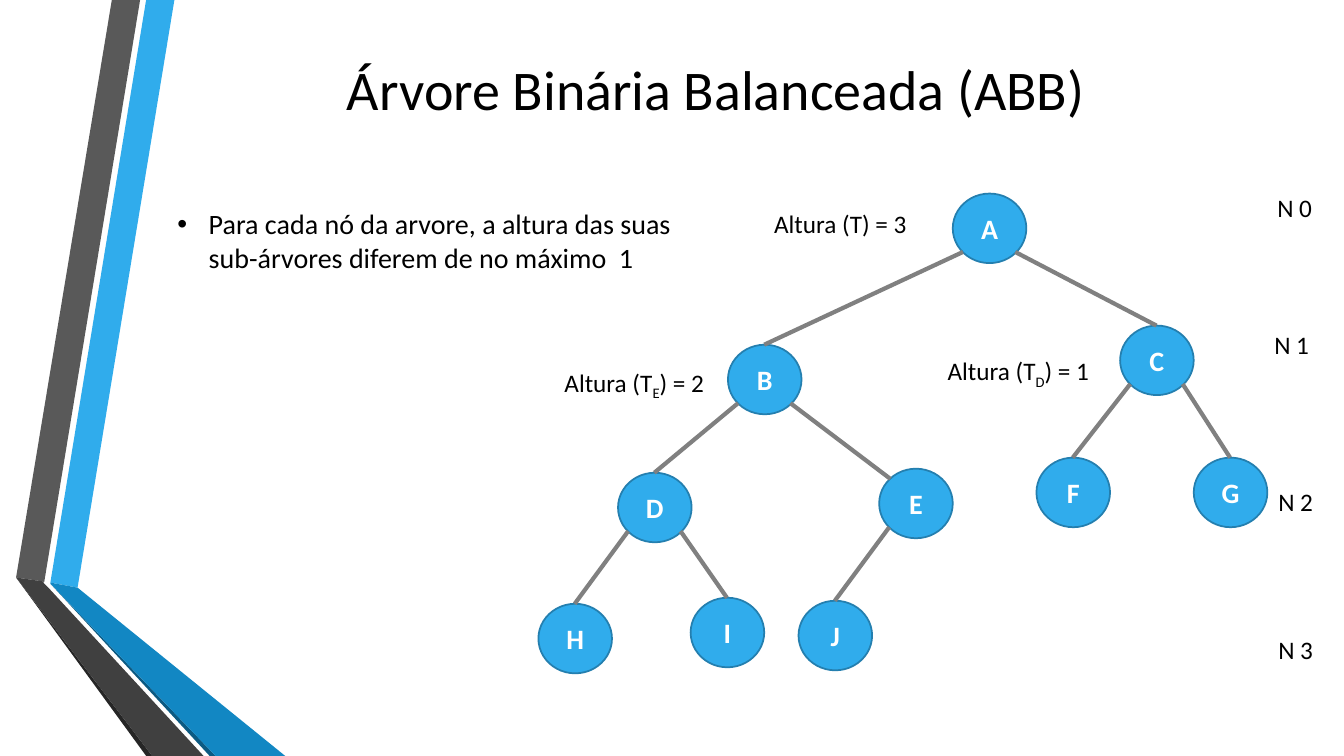
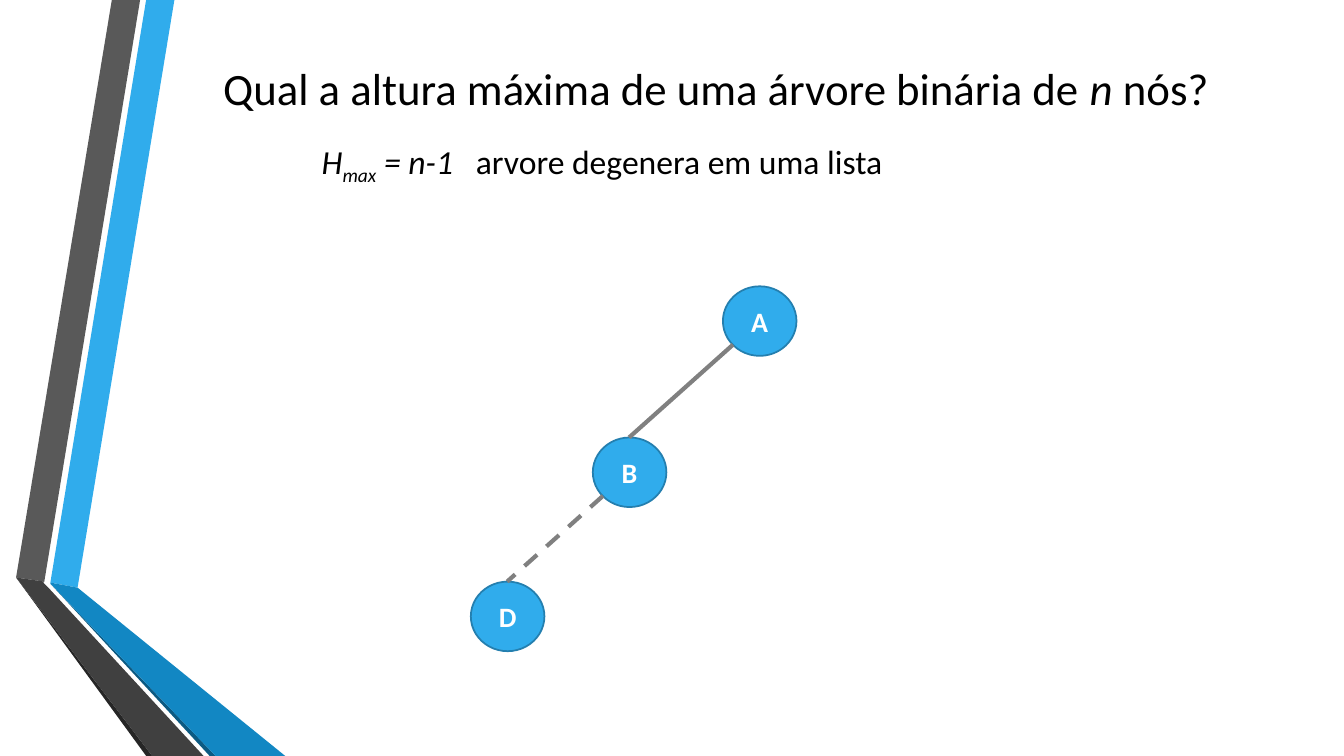
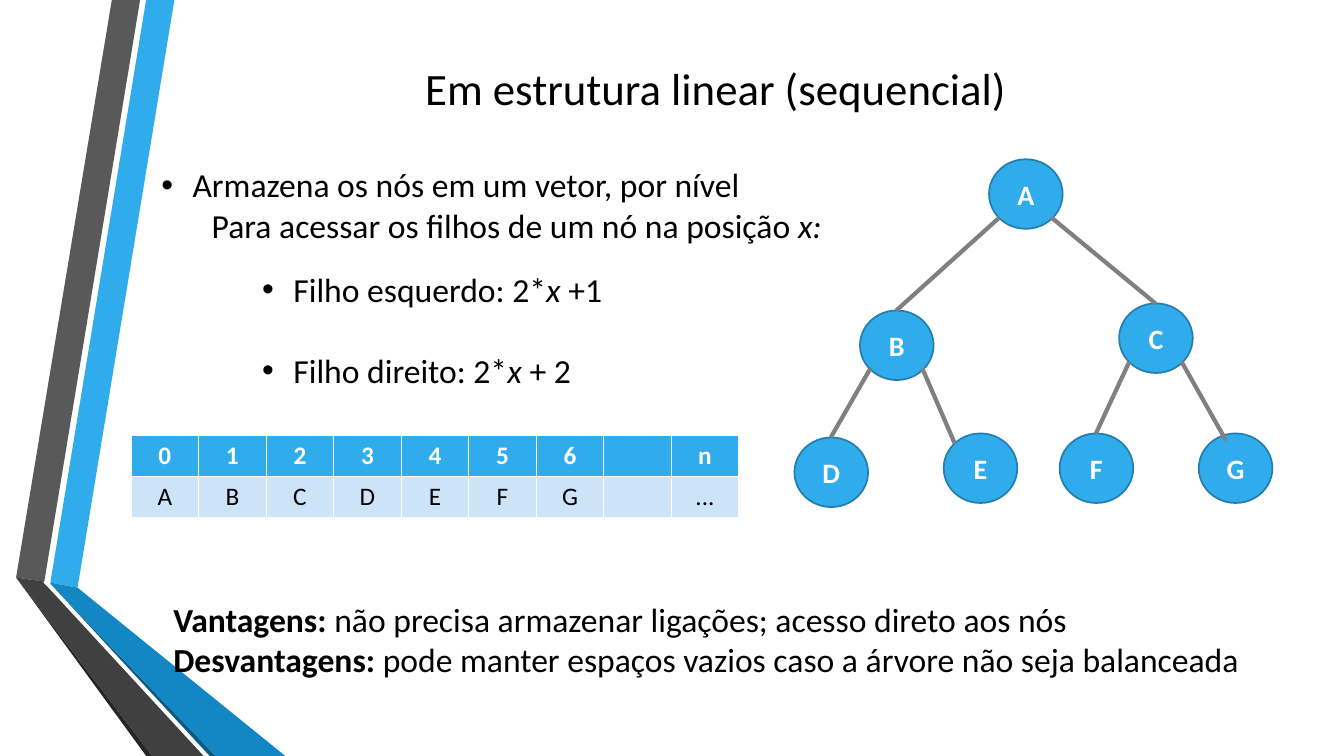
from pptx import Presentation
from pptx.dml.color import RGBColor
from pptx.enum.dml import MSO_LINE
from pptx.enum.shapes import MSO_CONNECTOR, MSO_SHAPE
from pptx.enum.text import MSO_ANCHOR, MSO_AUTO_SIZE, PP_ALIGN
from pptx.oxml.ns import qn
from pptx.util import Pt
from lxml.etree import SubElement

PX = 9144
FONT = "Calibri"
BLUE, EDGE, GRAY = "30ACEC", "247FAF", "808080"
PALE, BLACK, WHITE = "CDE3F8", "000000", "FFFFFF"
NODE_W, NODE_H = 73, 69

BANDS = [
    (BLUE, [(50, 578), (77, 583), (173, 0), (145, 0)]),
    ("595959", [(139, 0), (111, 0), (16, 573), (44, 577)]),
    ("262626", [(16, 573), (145, 750), (151, 750)]),
    ("0C5A82", [(50, 579), (208, 750), (214, 750)]),
    ("1287C3", [(50, 579), (214, 750), (283, 750), (77, 583), (50, 578)]),
    ("404040", [(202, 750), (48, 583), (43, 578), (44, 577), (16, 573), (151, 750)]),
]


def px(*values):
    return [v * PX for v in values]


def rgb(color):
    return RGBColor.from_string(color)


def paint(shape, color):
    shape.fill.solid()
    shape.fill.fore_color.rgb = rgb(color)


def add_runs(p, runs, size, color=BLACK):
    for text, marks in runs:
        r = p.add_run()
        r.text = text
        r.font.name = FONT
        r.font.size = Pt(size)
        r.font.color.rgb = rgb(color)
        r.font.bold = "b" in marks
        r.font.italic = "i" in marks
        if "s" in marks:
            r._r.get_or_add_rPr().set("baseline", "-25000")


def place(sp, x, y, w, h):
    sp.left, sp.top, sp.width, sp.height = px(x, y, w, h)


def add_bands(prs, s):
    group = s.shapes.add_group_shape()
    for color, points in BANDS:
        builder = group.shapes.build_freeform(*points[0], scale=PX)
        builder.add_line_segments(points[1:], close=True)
        sp = builder.convert_to_shape()
        sp.shadow.inherit = False
        paint(sp, color)
        sp.line.fill.background()
    prs.slide_master.shapes.element.insert(2, group.element)


def add_title(s, runs, size):
    sp = s.shapes.title
    place(sp, 162, -9, 1096, 192)
    tf = sp.text_frame
    tf.auto_size = MSO_AUTO_SIZE.NONE
    tf.vertical_anchor = MSO_ANCHOR.MIDDLE
    p = tf.paragraphs[0]
    p.alignment = PP_ALIGN.CENTER
    add_runs(p, runs, size)


def add_body(s, box, items, size, anchor=MSO_ANCHOR.TOP):
    sp = s.placeholders[1]
    place(sp, *box)
    tf = sp.text_frame
    tf.auto_size = MSO_AUTO_SIZE.NONE
    tf.vertical_anchor = anchor
    for i, (level, margin, bullet, before, runs) in enumerate(items):
        p = tf.add_paragraph() if i else tf.paragraphs[0]
        p.level = level
        p.space_before = Pt(before)
        pPr = p._p.get_or_add_pPr()
        pPr.set("marL", str(margin * PX))
        pPr.set("indent", str(-31 * PX if bullet else 0))
        if bullet:
            SubElement(pPr, qn("a:buFont")).set("typeface", "Arial")
            SubElement(pPr, qn("a:buChar")).set("char", "•")
        else:
            SubElement(pPr, qn("a:buNone"))
        add_runs(p, runs, size)


def add_text(s, box, lines, size, wrap=False):
    tf = s.shapes.add_textbox(*px(*box)).text_frame
    tf.word_wrap = wrap
    for i, runs in enumerate(lines):
        p = tf.add_paragraph() if i else tf.paragraphs[0]
        add_runs(p, runs, size)


def add_node(s, x, y, name):
    sp = s.shapes.add_shape(MSO_SHAPE.OVAL, *px(x, y, NODE_W, NODE_H))
    sp.shadow.inherit = False
    paint(sp, BLUE)
    sp.line.color.rgb = rgb(EDGE)
    sp.line.width = Pt(1.25)
    tf = sp.text_frame
    tf.vertical_anchor = MSO_ANCHOR.MIDDLE
    p = tf.paragraphs[0]
    p.alignment = PP_ALIGN.CENTER
    add_runs(p, [(name, "b")], 20, WHITE)


def add_edge(s, x1, y1, x2, y2, dashed):
    line = s.shapes.add_connector(MSO_CONNECTOR.STRAIGHT, *px(x1, y1, x2, y2))
    line.line.color.rgb = rgb(GRAY)
    line.line.width = Pt(3)
    if dashed:
        line.line.dash_style = MSO_LINE.DASH
    SubElement(line._element.spPr, qn("a:effectLst"))


def add_tree(s, left, top, nodes, edges, ends={}, dashed=()):
    spots = {name: (left + x, top + y) for name, (x, y) in nodes.items()}
    for name, (x, y) in spots.items():
        add_node(s, x, y, name)
    for parent, child in edges.split():
        (x1, y1), (x2, y2) = spots[parent], spots[child]
        start = 10 if x2 < x1 else 62
        dx, dy = ends.get(child, (36, 0))
        add_edge(s, x1 + start, y1 + 58, x2 + dx, y2 + dy, child in dashed)


def add_vector(s, left, top, col_w, row_h, rows):
    count = len(rows[0])
    box = px(left, top, col_w * count, row_h * len(rows))
    table = s.shapes.add_table(len(rows), count, *box).table
    looks = [(BLUE, WHITE, "b"), (PALE, BLACK, "")]
    for i, (row, (fill, color, marks)) in enumerate(zip(rows, looks)):
        for j, text in enumerate(row):
            cell = table.cell(i, j)
            paint(cell, fill)
            p = cell.text_frame.paragraphs[0]
            p.alignment = PP_ALIGN.CENTER
            if text:
                add_runs(p, [(text, marks)], 18, color)


def balanced_slide(s):
    add_title(s, [("Árvore Binária Balanceada (ABB)", "")], 40)
    rule = "Para cada nó da arvore, a altura das suas sub-árvores diferem de no máximo  1"
    add_body(s, (166, 200, 539, 111), [(0, 31, True, 0, [(rule, "")])], 20)
    nodes = {
        "A": (411, 0), "B": (188, 150), "C": (577, 131), "D": (79, 277),
        "E": (338, 273), "F": (494, 262), "G": (650, 262), "H": (0, 407),
        "I": (151, 401), "J": (258, 404),
    }
    add_tree(s, 534, 192, nodes, "AB AC BD BE CF CG DH DI EJ", {"E": (11, 10)})
    add_text(s, (758, 202, 153, 40), [[("Altura (T) = 3", "")]], 18)
    for x, y, sub, height in [(550, 359, "E", 2), (930, 348, "D", 1)]:
        runs = [("Altura (T", ""), (sub, "s"), (f") = {height}", "")]
        add_text(s, (x, y, 168, 40), [runs], 18)
    for level, (x, y) in enumerate([(1257, 186), (1254, 322), (1258, 478), (1258, 624)]):
        add_text(s, (x, y, 56, 40), [[(f"N {level}", "")]], 18)


def height_slide(s):
    add_title(s, [("Qual a altura máxima de uma árvore binária de ", ""),
                  ("n", "i"), (" nós?", "")], 32)
    formula = [("H", "i"), ("max", "is"), (" = n-1", "i"),
               ("   arvore degenera em uma lista", "")]
    add_body(s, (309, 122, 888, 81), [(0, 0, False, 0, formula)], 24, MSO_ANCHOR.MIDDLE)
    nodes = {"A": (250, 0), "B": (121, 150), "D": (0, 293)}
    add_tree(s, 467, 284, nodes, "AB BD", dashed="D")


def linear_slide(s):
    add_title(s, [("Em estrutura linear (sequencial)", "")], 32)
    items = [
        (0, 31, True, 0, [("Armazena os nós em um vetor, por nível", "")]),
        (1, 50, False, 0, [("Para acessar os filhos de um nó na posição ", ""), ("x:", "i")]),
        (2, 131, True, 17, [("Filho esquerdo: 2*", ""), ("x", "i"), (" +1", "")]),
        (2, 131, True, 29, [("Filho direito: 2*", ""), ("x", "i"), (" + 2", "")]),
    ]
    add_body(s, (150, 158, 695, 270), items, 24)
    nodes = {
        "A": (193, 0), "B": (65, 150), "C": (322, 143), "D": (0, 276),
        "E": (148, 272), "F": (263, 272), "G": (401, 272),
    }
    add_tree(s, 788, 158, nodes, "AB AC BD BE CF CG", {"E": (11, 10), "G": (27, 7)})
    add_vector(s, 130, 432, 67, 41, [[*"0123456", "", "n"], [*"ABCDEFG", "", "..."]])
    add_text(s, (162, 589, 1171, 92), [
        [("Vantagens: ", "b"), ("não precisa armazenar ligações; acesso direto aos nós", "")],
        [("Desvantagens: ", "b"),
         ("pode manter espaços vazios caso a árvore não seja balanceada", "")],
    ], 24, wrap=True)


def main():
    prs = Presentation()
    prs.slide_width, prs.slide_height = px(1333, 750)
    for i, build in enumerate([balanced_slide, height_slide, linear_slide]):
        s = prs.slides.add_slide(prs.slide_layouts[1])
        if i == 0:
            add_bands(prs, s)
        build(s)
    prs.save("out.pptx")


if __name__ == "__main__":
    main()
